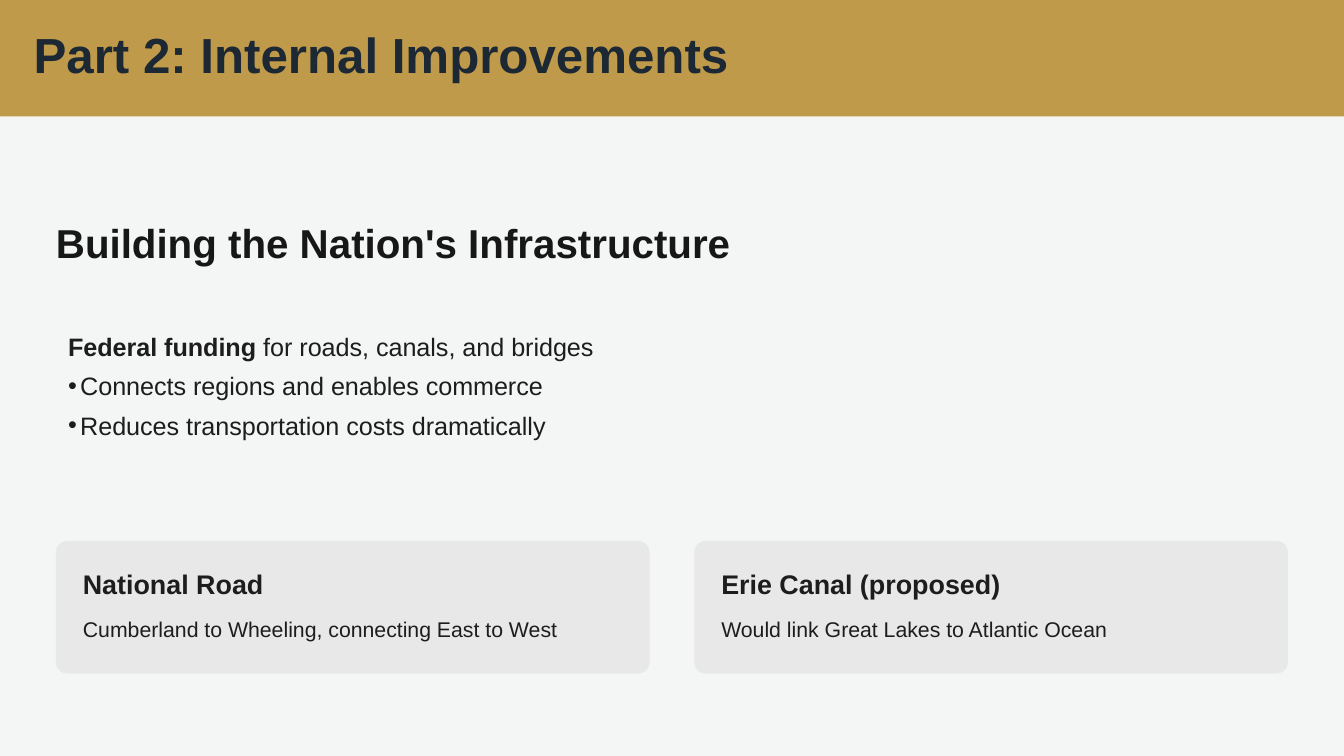
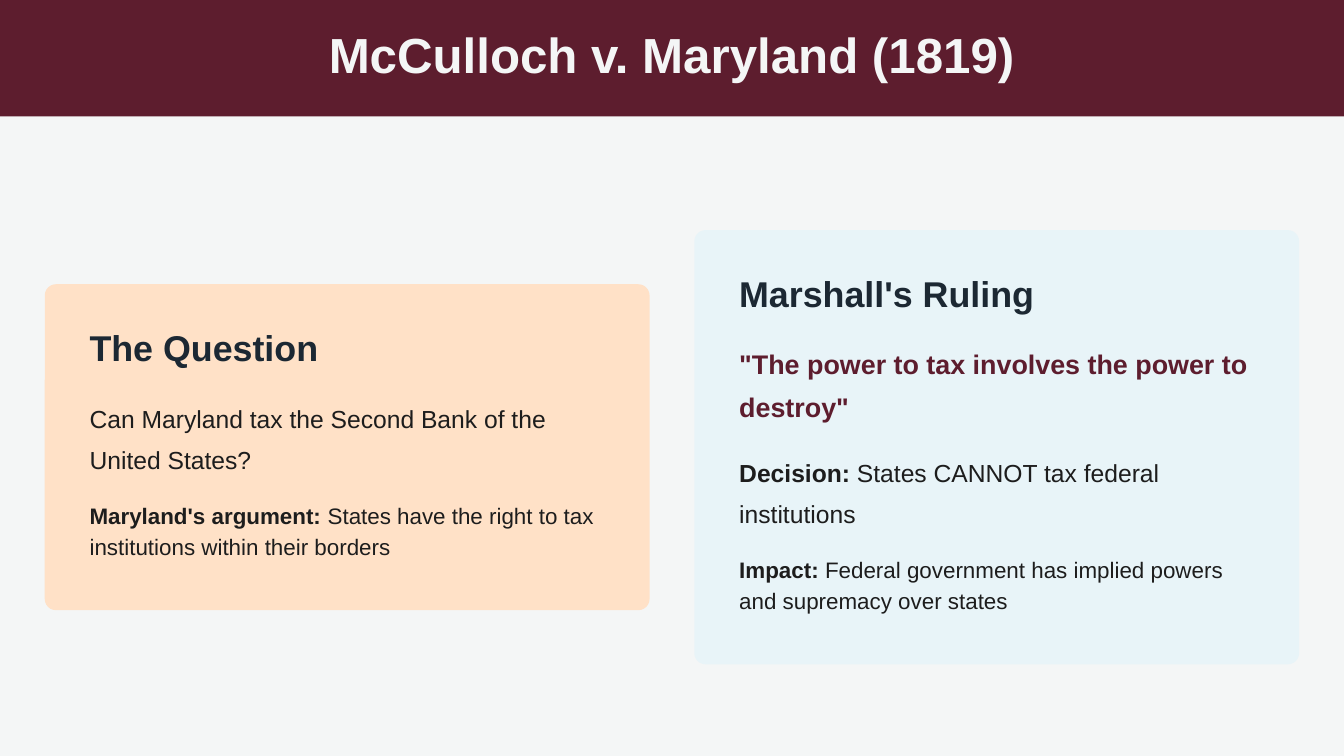
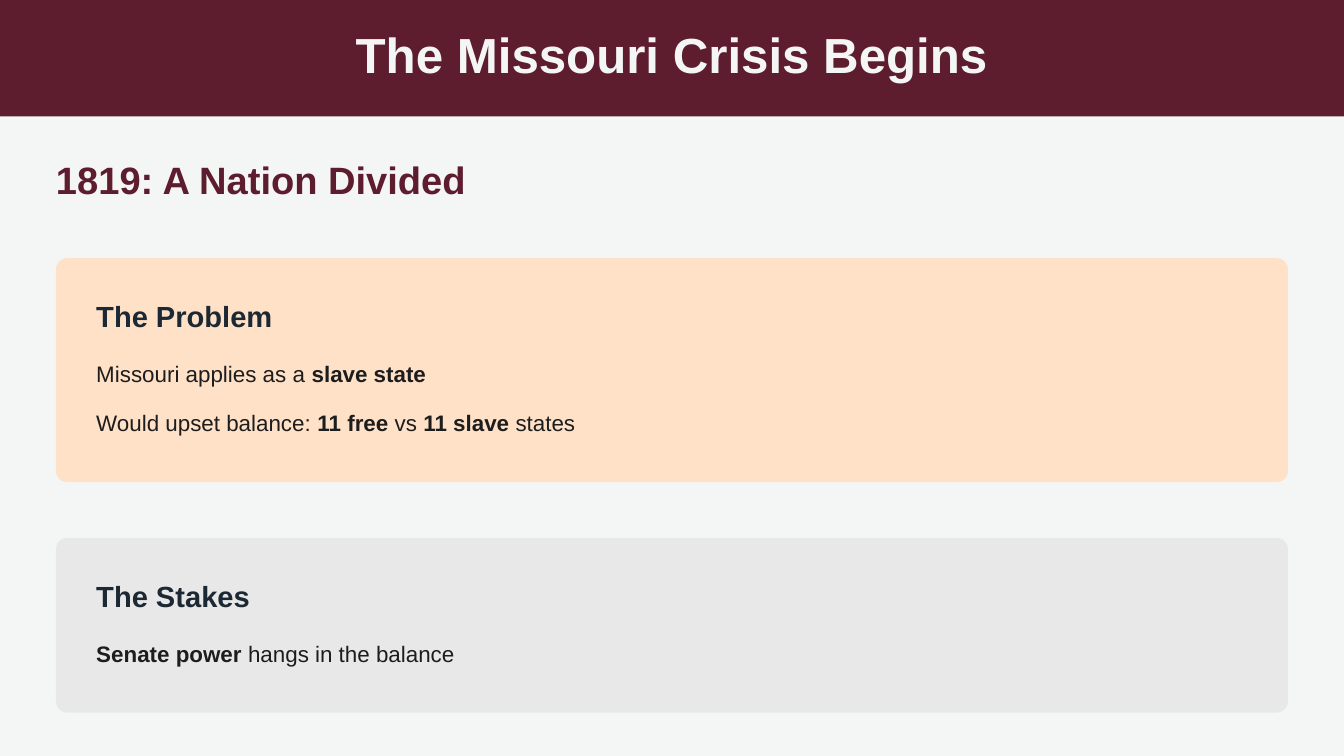
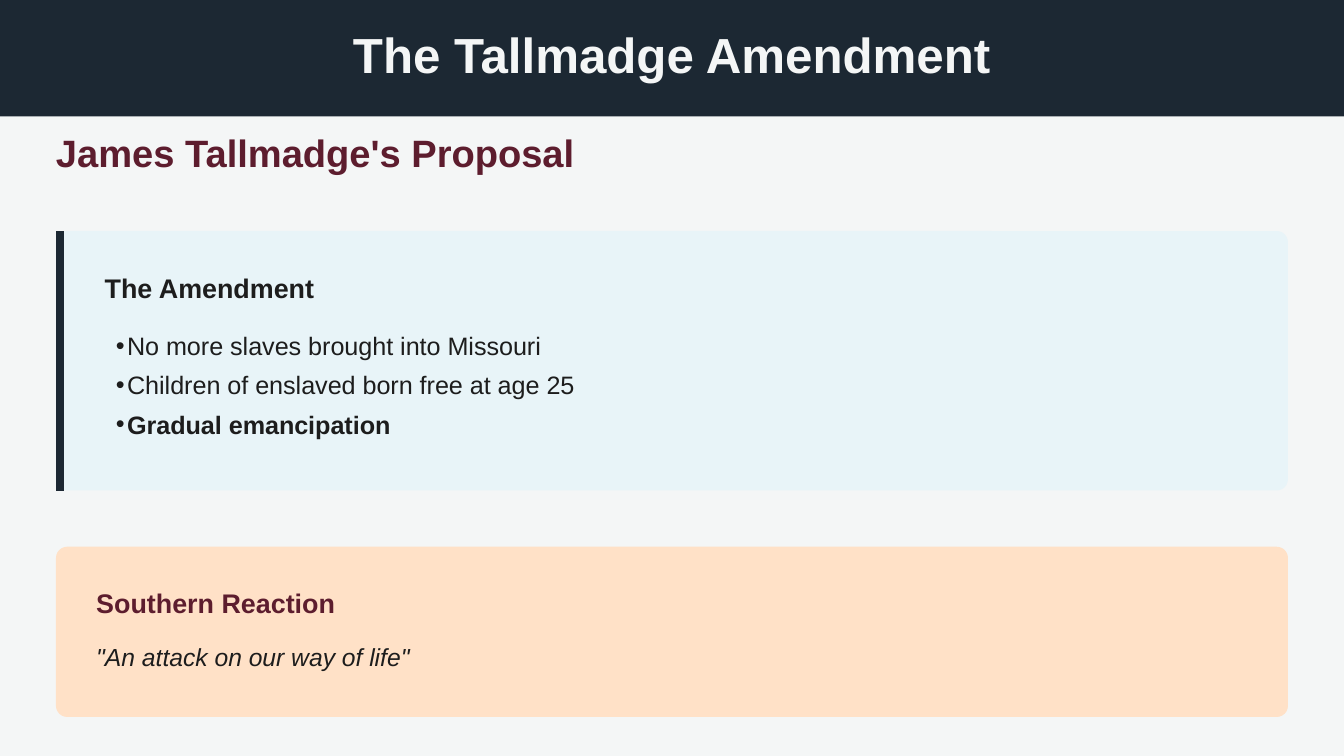
from dataclasses import dataclass
from typing import Optional

import pptx
import pptx.dml.color
import pptx.enum.shapes
import pptx.enum.text
import pptx.oxml.ns
import pptx.util
from lxml import etree

Pt = pptx.util.Pt
RGBColor = pptx.dml.color.RGBColor
ALIGN = pptx.enum.text.PP_ALIGN
SHAPE = pptx.enum.shapes.MSO_SHAPE
qn = pptx.oxml.ns.qn

# Palette
PAPER = RGBColor(0xF4, 0xF6, 0xF6)
GOLD = RGBColor(0xBF, 0x9A, 0x4A)
WINE = RGBColor(0x5D, 0x1D, 0x2E)
NAVY = RGBColor(0x1C, 0x28, 0x33)
BLACK = RGBColor(0x17, 0x17, 0x17)
INK = RGBColor(0x1D, 0x1D, 0x1D)
GREY = RGBColor(0xE8, 0xE8, 0xE8)
PEACH = RGBColor(0xFF, 0xE1, 0xC7)
SKY = RGBColor(0xE8, 0xF4, 0xF8)

# Shared measures, in points
FONT = "Arial"
SLIDE_W, SLIDE_H = 720, 405
BAND_H = 62.4
TITLE_TOP, TITLE_H = 18, 26.4
MARGIN, CONTENT_W = 30, 660
RADIUS = 6
ACCENT_W = 4.5
TITLE_ONLY, TITLE_AND_BODY = 5, 1


@dataclass(frozen=True)
class Style:
    size: float
    leading: float
    color: RGBColor = INK
    bold: bool = False
    italic: bool = False
    align: ALIGN = ALIGN.LEFT


@dataclass(frozen=True)
class Box:
    left: float
    top: float
    width: float
    height: float


@dataclass(frozen=True)
class Line:
    """A text inside a card, at a distance below the card's top."""
    text: str
    style: Style
    drop: float
    height: float
    width: Optional[float] = None


@dataclass(frozen=True)
class Card:
    box: Box
    fill: RGBColor
    pad: float
    text_width: float
    lines: tuple[Line, ...]


# Text styles
INFRA_HEAD = Style(21.6, 24, BLACK, bold=True)
EVENT_HEAD = Style(20.4, 22.7, WINE, bold=True)
CASE_HEAD = Style(19.2, 21.3, NAVY, bold=True)
ISSUE_HEAD = Style(15.6, 18.7, NAVY, bold=True)
CARD_HEAD = Style(14.4, 17.3, bold=True)
REACTION_HEAD = Style(14.4, 17.3, WINE, bold=True)
PULL_QUOTE = Style(14.4, 23, WINE, bold=True)
BULLET = Style(13.5, 21)
LEAD = Style(13.2, 22.4)
SPOKEN = Style(13.2, 18.5, italic=True)
DETAIL = Style(12, 16.8)
FACT = Style(12, 19.2)
CAPTION = Style(11.4, 16)


def write(p, text: str, style: Style) -> None:
    """Fill a paragraph; parts between ** marks are bold."""
    for i, part in enumerate(text.split("**")):
        if not part:
            continue
        r = p.add_run()
        r.text = part
        r.font.name = FONT
        r.font.size = Pt(style.size)
        r.font.bold = style.bold or i % 2 == 1
        r.font.italic = style.italic
        r.font.color.rgb = style.color
    p.alignment = style.align
    p.line_spacing = Pt(style.leading)
    p.space_before = p.space_after = Pt(0)


def place(sp, box: Box) -> None:
    sp.left, sp.top = Pt(box.left), Pt(box.top)
    sp.width, sp.height = Pt(box.width), Pt(box.height)


def prepare(sp, inset: float = 0):
    tf = sp.text_frame
    tf.word_wrap = True
    tf.auto_size = pptx.enum.text.MSO_AUTO_SIZE.NONE
    tf.vertical_anchor = pptx.enum.text.MSO_ANCHOR.TOP
    tf.margin_left = Pt(inset)
    tf.margin_right = tf.margin_top = tf.margin_bottom = Pt(0)
    return tf


def add_text(s, box: Box, text: str, style: Style) -> None:
    sp = s.shapes.add_textbox(0, 0, 0, 0)
    place(sp, box)
    write(prepare(sp).paragraphs[0], text, style)


def add_panel(s, shape: SHAPE, box: Box, fill: RGBColor):
    sp = s.shapes.add_shape(shape, 0, 0, 0, 0)
    place(sp, box)
    sp.shadow.inherit = False
    sp.fill.solid()
    sp.fill.fore_color.rgb = fill
    sp.line.fill.background()
    return sp


def bring_to_front(s, sp) -> None:
    s.shapes._spTree.append(sp._element)


def add_slide(prs, layout: int, title: str, band: RGBColor, color: RGBColor,
              width: float, align: ALIGN = ALIGN.CENTER):
    """Start a slide with its coloured band and title."""
    s = prs.slides.add_slide(prs.slide_layouts[layout])
    add_panel(s, SHAPE.RECTANGLE, Box(0, 0, SLIDE_W, BAND_H), band)
    left = (SLIDE_W - width) / 2 if align == ALIGN.CENTER else TITLE_TOP
    sp = s.shapes.title
    place(sp, Box(left, TITLE_TOP, width, TITLE_H))
    style = Style(26.4, 26.4, color, bold=True, align=align)
    write(prepare(sp).paragraphs[0], title, style)
    bring_to_front(s, sp)
    return s


def add_card(s, card: Card) -> None:
    b = card.box
    sp = add_panel(s, SHAPE.ROUNDED_RECTANGLE, b, card.fill)
    sp.adjustments[0] = RADIUS / min(b.width, b.height)
    for line in card.lines:
        box = Box(b.left + card.pad, b.top + line.drop,
                  line.width or card.text_width, line.height)
        add_text(s, box, line.text, line.style)


def add_accent(s, box: Box) -> None:
    """Draw a thick rule along the left edge of a card."""
    x = Pt(box.left + ACCENT_W / 2)
    c = s.shapes.add_connector(pptx.enum.shapes.MSO_CONNECTOR.STRAIGHT,
                               x, Pt(box.top), x, Pt(box.top + box.height))
    c.line.color.rgb = NAVY
    c.line.width = Pt(ACCENT_W)
    etree.SubElement(c._element.spPr, qn("a:effectLst"))


def fill_list(s, box: Box, items: tuple[str, ...], indent: float,
              plain_first: bool = False) -> None:
    """Put a list into the body placeholder."""
    sp = s.placeholders[1]
    place(sp, box)
    tf = prepare(sp, indent)
    for i, item in enumerate(items):
        p = tf.add_paragraph() if i else tf.paragraphs[0]
        pPr = p._p.get_or_add_pPr()
        pPr.set("marL", str(Pt(indent)))
        pPr.set("indent", str(-Pt(indent)))
        if plain_first and i == 0:
            etree.SubElement(pPr, qn("a:buNone"))
        else:
            etree.SubElement(pPr, qn("a:buChar")).set("char", "•")
        write(p, item, BULLET)
    bring_to_front(s, sp)


def improvements(prs) -> None:
    s = add_slide(prs, TITLE_AND_BODY, "Part 2: Internal Improvements",
                  GOLD, NAVY, 380.2, ALIGN.LEFT)
    add_text(s, Box(MARGIN, 118.8, 369.4, 24),
             "Building the Nation's Infrastructure", INFRA_HEAD)
    fill_list(s, Box(MARGIN, 172.8, CONTENT_W, 69), (
        "**Federal funding** for roads, canals, and bridges",
        "Connects regions and enables commerce",
        "Reduces transportation costs dramatically"), 6.5, plain_first=True)
    projects = (
        ("National Road", "Cumberland to Wheeling, connecting East to West"),
        ("Erie Canal (proposed)", "Would link Great Lakes to Atlantic Ocean"))
    gap = 24
    width = (CONTENT_W - gap) / 2
    for i, (name, route) in enumerate(projects):
        box = Box(MARGIN + i * (width + gap), 289.8, width, 71)
        add_card(s, Card(box, GREY, 14.4, 295, (
            Line(name, CARD_HEAD, 14.4, 17.3),
            Line(route, CAPTION, 37.8, 16))))


def court_case(prs) -> None:
    s = add_slide(prs, TITLE_ONLY, "McCulloch v. Maryland (1819)",
                  WINE, PAPER, 375.8)
    add_card(s, Card(Box(24, 152.3, 324, 174.6), PEACH, 24, 281.5, (
        Line("The Question", CASE_HEAD, 24, 21.3, 141.8),
        Line("Can Maryland tax the Second Bank of the United States?",
             LEAD, 57.3, 44.8),
        Line("**Maryland's argument:** States have the right to tax "
             "institutions within their borders", DETAIL, 114.1, 33.6))))
    add_card(s, Card(Box(372, 123.3, 324, 232.6), SKY, 24, 281.5, (
        Line("Marshall's Ruling", CASE_HEAD, 24, 21.3, 161.3),
        Line('"The power to tax involves the power to destroy"',
             PULL_QUOTE, 57.3, 46),
        Line("**Decision:** States CANNOT tax federal institutions",
             LEAD, 115.2, 44.8),
        Line("**Impact:** Federal government has implied powers "
             "and supremacy over states", DETAIL, 172, 33.6))))


def missouri_crisis(prs) -> None:
    s = add_slide(prs, TITLE_ONLY, "The Missouri Crisis Begins",
                  WINE, PAPER, 350)
    add_text(s, Box(MARGIN, 85.7, 337.7, 22.7),
             "1819: A Nation Divided", EVENT_HEAD)
    add_card(s, Card(Box(MARGIN, 138.3, CONTENT_W, 120), PEACH, 21.6, 629.3, (
        Line("The Problem", ISSUE_HEAD, 21.6, 18.7),
        Line("Missouri applies as a **slave state**", FACT, 49.9, 19.2),
        Line("Would upset balance: **11 free** vs **11 slave** states",
             FACT, 76.3, 19.2))))
    add_card(s, Card(Box(MARGIN, 288.2, CONTENT_W, 93.6), GREY, 21.6, 629.3, (
        Line("The Stakes", ISSUE_HEAD, 21.6, 18.7),
        Line("**Senate power** hangs in the balance", FACT, 49.9, 19.2))))


def tallmadge(prs) -> None:
    s = add_slide(prs, TITLE_AND_BODY, "The Tallmadge Amendment",
                  NAVY, PAPER, 350)
    add_text(s, Box(MARGIN, 71.3, 337.7, 22.7),
             "James Tallmadge's Proposal", EVENT_HEAD)
    amendment = Box(MARGIN, 123.8, CONTENT_W, 139)
    add_card(s, Card(amendment, SKY, 26.1, 624.2, (
        Line("The Amendment", CARD_HEAD, 21.6, 17.3),)))
    add_accent(s, amendment)
    fill_list(s, Box(56.1, 172.2, 612, 69), (
        "No more slaves brought into Missouri",
        "Children of enslaved born free at age 25",
        "**Gradual emancipation**"), 6)
    add_card(s, Card(Box(MARGIN, 292.9, CONTENT_W, 91.2), PEACH, 21.6, 629.3, (
        Line("Southern Reaction", REACTION_HEAD, 21.6, 17.3),
        Line('"An attack on our way of life"', SPOKEN, 48.4, 18.5))))


def main() -> None:
    prs = pptx.Presentation()
    prs.slide_width, prs.slide_height = Pt(SLIDE_W), Pt(SLIDE_H)
    background = prs.slide_master.background.fill
    background.solid()
    background.fore_color.rgb = PAPER
    for build in (improvements, court_case, missouri_crisis, tallmadge):
        build(prs)
    prs.save("out.pptx")


if __name__ == "__main__":
    main()
